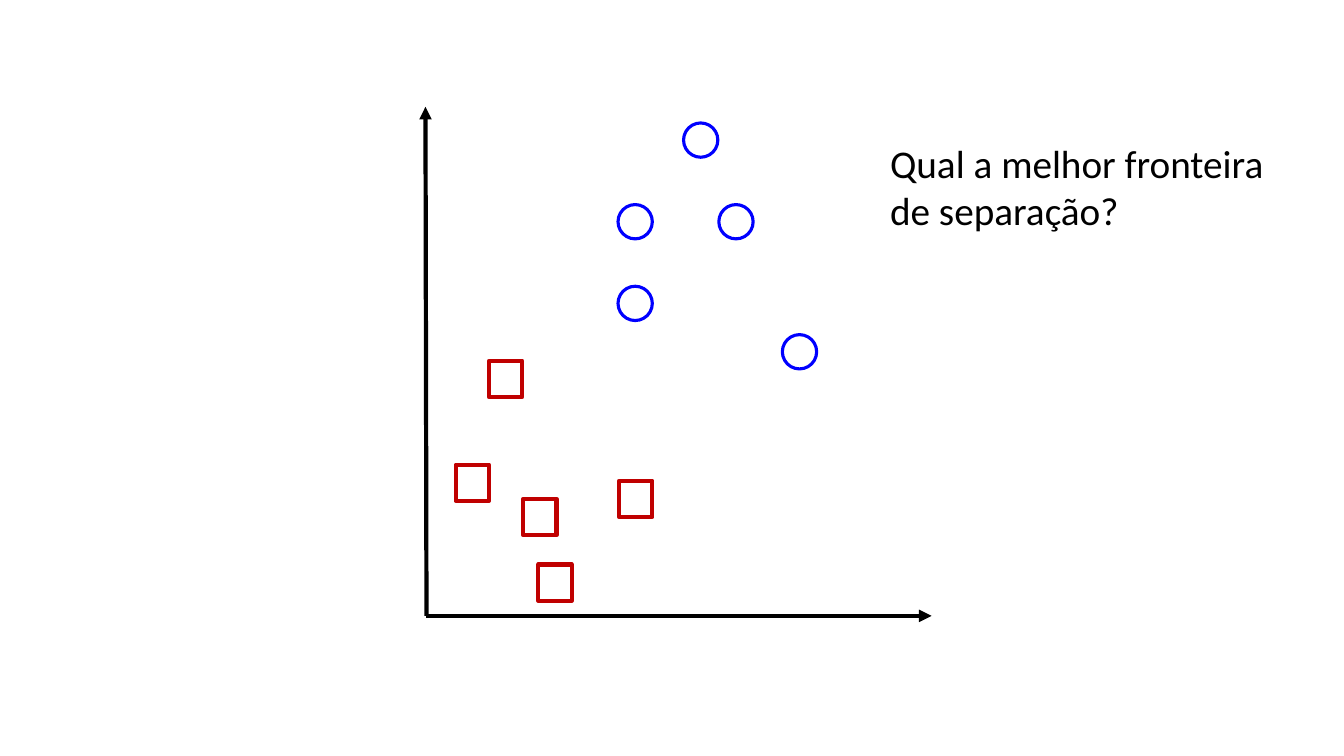
from lxml import etree
from pptx import Presentation
from pptx.dml.color import RGBColor
from pptx.enum.shapes import MSO_CONNECTOR, MSO_SHAPE
from pptx.enum.text import MSO_AUTO_SIZE
from pptx.oxml.ns import qn
from pptx.util import Inches, Pt

STRAIGHT = MSO_CONNECTOR.STRAIGHT
OVAL = MSO_SHAPE.OVAL
RECTANGLE = MSO_SHAPE.RECTANGLE
FIT_SHAPE = MSO_AUTO_SIZE.SHAPE_TO_FIT_TEXT

BLACK = RGBColor(0x00, 0x00, 0x00)
WHITE = RGBColor(0xFF, 0xFF, 0xFF)
BLUE = RGBColor(0x00, 0x00, 0xFF)
RED = RGBColor(0xC0, 0x00, 0x00)

QUESTION = "Qual a melhor fronteira de separação?"
ORIGIN = (4.23, 6.11)
AXIS_ENDS = [(4.22, 1.06), (9.24, 6.11)]
CLASSES = [
    {
        "kind": OVAL, "size": (0.34, 0.34), "color": BLUE, "weight": 2.25,
        "points": [(6.78, 1.22), (7.13, 2.03), (6.13, 2.03), (7.76, 3.32), (6.13, 2.84)],
    },
    {
        "kind": RECTANGLE, "size": (0.33, 0.36), "color": RED, "weight": 3,
        "points": [(4.52, 4.61), (4.85, 3.58), (6.14, 4.77), (5.19, 4.95), (5.34, 5.6)],
    },
]


def add_axis(slide, start, end):
    axis = slide.shapes.add_connector(STRAIGHT, *map(Inches, start + end))
    axis.line.color.rgb = BLACK
    axis.line.width = Pt(3)
    arrowhead = etree.SubElement(axis.line._get_or_add_ln(), qn("a:tailEnd"))
    arrowhead.set("type", "triangle")
    etree.SubElement(axis._element.spPr, qn("a:effectLst"))


def add_marker(slide, kind, position, size, color, weight):
    marker = slide.shapes.add_shape(kind, *map(Inches, position + size))
    marker.shadow.inherit = False
    marker.fill.solid()
    marker.fill.fore_color.rgb = WHITE
    marker.line.color.rgb = color
    marker.line.width = Pt(weight)


def add_text(slide, text, *, box, size, font, color):
    text_box = slide.shapes.add_textbox(*map(Inches, box))
    frame = text_box.text_frame
    frame.word_wrap = True
    frame.auto_size = FIT_SHAPE
    run = frame.paragraphs[0].add_run()
    run.text = text
    run.font.size = Pt(size)
    run.font.name = font
    run.font.color.rgb = color


def main():
    presentation = Presentation()
    presentation.slide_width = Inches(13.33)
    presentation.slide_height = Inches(7.5)
    slide = presentation.slides.add_slide(presentation.slide_layouts[6])

    for end in AXIS_ENDS:
        add_axis(slide, ORIGIN, end)
    for group in CLASSES:
        for point in group["points"]:
            add_marker(slide, group["kind"], point, group["size"],
                       group["color"], group["weight"])
    add_text(slide, QUESTION, box=(8.73, 1.33, 3.95, 1.04),
             size=28, font="Calibri", color=BLACK)

    presentation.save("out.pptx")


if __name__ == "__main__":
    main()
